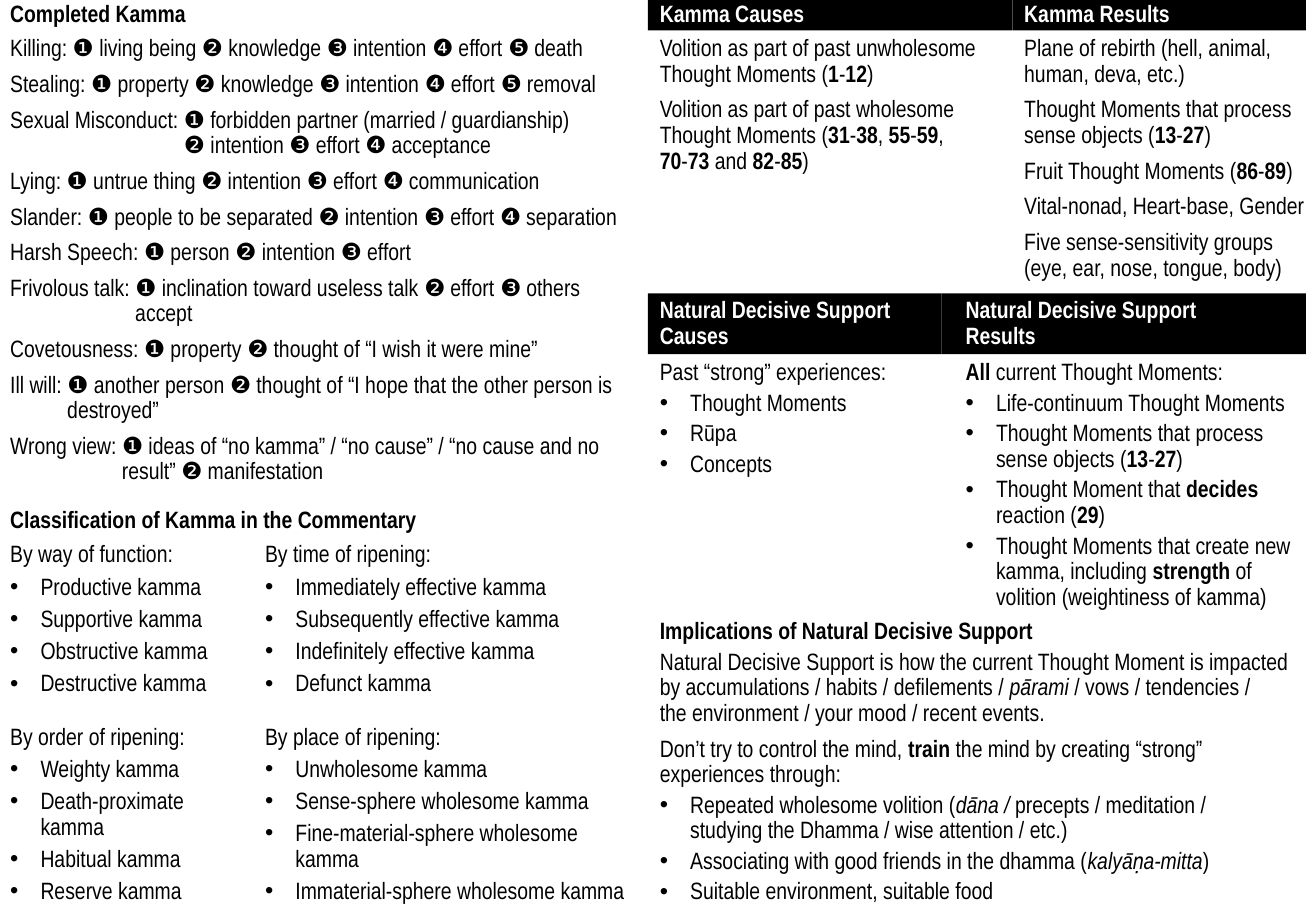
from lxml import etree
from pptx import Presentation, util as u
from pptx.dml import color
from pptx.enum import shapes, text
from pptx.oxml import ns

COLUMNS, ROWS = 130, 90
CELL = u.Inches(1 / 12)
BLACK, WHITE = "000000", "FFFFFF"
FLUSH = {"margin_left": 0}
OPEN_RIGHT = {"margin_right": 0}
RESULTS = {"margin_left": u.Inches(0.2), "margin_right": 0}
MIDDLE = {"vertical_anchor": text.MSO_ANCHOR.MIDDLE}
BOTTOM = {"vertical_anchor": text.MSO_ANCHOR.BOTTOM, "margin_top": 0}


def rgb(value):
    return color.RGBColor.from_string(value)


def apply(target, values):
    for name, value in values.items():
        setattr(target, name, value)


class Page:
    """Draws on one slide in 1/12 inch cells; *bold*, _italic_ and a leading bullet mark up the text."""

    font = {"name": "Arial Narrow", "size": u.Pt(14)}
    frame = {"word_wrap": True, "vertical_anchor": text.MSO_ANCHOR.TOP,
             "margin_left": u.Inches(0.1), "margin_right": u.Inches(0.1),
             "margin_top": u.Inches(0.05), "margin_bottom": u.Inches(0.05)}

    def __init__(self, deck):
        apply(deck, {"slide_width": COLUMNS * CELL, "slide_height": ROWS * CELL})
        self.slide = deck.slides.add_slide(deck.slide_layouts[6])

    def box(self, cells):
        return [round(cell * CELL) for cell in cells]

    def passage(self, cells, paragraphs, after, **frame):
        holder = self.slide.shapes.add_textbox(*self.box(cells))
        self.compose(holder, paragraphs, after, BLACK, frame)

    def heading(self, cells, title):
        self.passage(cells, [f"*{title}*"], 5, **FLUSH, **MIDDLE)

    def band(self, cells, title, **frame):
        bar = self.slide.shapes.add_shape(shapes.MSO_SHAPE.RECTANGLE, *self.box(cells))
        bar.shadow.inherit = False
        bar.fill.solid()
        bar.fill.fore_color.rgb = rgb(BLACK)
        bar.line.fill.background()
        self.compose(bar, [f"*{title}*"], 5, WHITE, {**MIDDLE, **frame})

    def compose(self, holder, paragraphs, after, ink, frame):
        body = holder.text_frame
        apply(body, {**self.frame, **frame})
        for index, entry in enumerate(paragraphs):
            words, own = entry if isinstance(entry, tuple) else (entry, {})
            paragraph = body.paragraphs[0] if index == 0 else body.add_paragraph()
            apply(paragraph, {"alignment": text.PP_ALIGN.LEFT, "line_spacing": 0.9,
                              "space_after": u.Pt(own.get("after", after))})
            bulleted = words.startswith("•")
            self.hang(paragraph, 0.25 if bulleted else own.get("hang", 0), bulleted)
            self.runs(paragraph, words.removeprefix("•"), ink)

    def hang(self, paragraph, inches, bulleted):
        properties = paragraph._p.get_or_add_pPr()
        properties.set("marL", str(u.Inches(inches)))
        properties.set("indent", str(-u.Inches(inches)))
        if bulleted:
            etree.SubElement(properties, ns.qn("a:buFont")).set("typeface", "Arial")
            etree.SubElement(properties, ns.qn("a:buChar")).set("char", "•")

    def runs(self, paragraph, words, ink):
        for strong, part in enumerate(words.split("*")):
            for slanted, piece in enumerate(part.split("_")):
                for line, chunk in enumerate(piece.split("\n")):
                    if line:
                        paragraph.add_line_break()
                    if chunk:
                        run = paragraph.add_run()
                        run.text = chunk
                        apply(run.font, {**self.font, "bold": strong % 2 == 1,
                                         "italic": slanted % 2 == 1})
                        run.font.color.rgb = rgb(ink)


COMPLETED = [
    "Killing: ❶ living being ❷ knowledge ❸ intention ❹ effort ❺ death",
    "Stealing: ❶ property ❷ knowledge ❸ intention ❹ effort ❺ removal",
    ("Sexual Misconduct: ❶ forbidden partner (married / guardianship) \n"
     "❷ intention ❸ effort ❹ acceptance", {"hang": 1.43}),
    "Lying: ❶ untrue thing ❷ intention ❸ effort ❹ communication",
    "Slander: ❶ people to be separated ❷ intention ❸ effort ❹ separation",
    "Harsh Speech: ❶ person ❷ intention ❸ effort",
    ("Frivolous talk: ❶ inclination toward useless talk ❷ effort ❸ others accept",
     {"hang": 1.03}),
    "Covetousness: ❶ property ❷ thought of “I wish it were mine”",
    ("Ill will: ❶ another person ❷ thought of “I hope that the other person is destroyed”",
     {"hang": 0.47}),
    ("Wrong view: ❶ ideas of “no kamma” / “no cause” / “no cause and no result” "
     "❷ manifestation", {"hang": 0.92}),
]
CLASSIFICATION = [
    [["By way of function:", "•Productive kamma", "•Supportive kamma",
      "•Obstructive kamma", "•Destructive kamma"],
     ["By time of ripening:", "•Immediately effective kamma", "•Subsequently effective kamma",
      "•Indefinitely effective kamma", "•Defunct kamma"]],
    [["By order of ripening:", "•Weighty kamma", "•Death-proximate \nkamma",
      "•Habitual kamma", "•Reserve kamma"],
     ["By place of ripening:", "•Unwholesome kamma", "•Sense-sphere wholesome kamma",
      "•Fine-material-sphere wholesome kamma", "•Immaterial-sphere wholesome kamma"]],
]
KAMMA_CAUSES = [
    "Volition as part of past unwholesome Thought Moments (*1*-*12*)",
    "Volition as part of past wholesome Thought Moments (*31*-*38*, *55*-*59*, \n"
    "*70*-*73 *and *82*-*85*)",
]
KAMMA_RESULTS = [
    "Plane of rebirth (hell, animal, human, deva, etc.)",
    "Thought Moments that process sense objects (*13*-*27*)",
    "Fruit Thought Moments (*86*-*89*)",
    "Vital-nonad, Heart-base, Gender",
    "Five sense-sensitivity groups (eye, ear, nose, tongue, body)",
]
SUPPORT_CAUSES = ["Past “strong” experiences:", "•Thought Moments", "•Rūpa", "•Concepts"]
SUPPORT_RESULTS = [
    "*All* current Thought Moments:",
    "•Life-continuum Thought Moments",
    "•Thought Moments that process sense objects (*13*-*27*)",
    "•Thought Moment that *decides* reaction (*29*)",
    "•Thought Moments that create new kamma, including *strength* of\n"
    "volition (weightiness of kamma)",
]
IMPLICATIONS = [
    "*Implications of Natural Decisive Support*",
    ("Natural Decisive Support is how the current Thought Moment is impacted by accumulations "
     "/ habits / defilements / _pārami _/ vows / tendencies / \n"
     "the environment / your mood / recent events.", {"after": 6}),
    "Don’t try to control the mind, *train* the mind by creating “strong” experiences through:",
    "•Repeated wholesome volition (_dāna /_ precepts / meditation / \n"
    "studying the Dhamma / wise attention / etc.)",
    "•Associating with good friends in the dhamma (_kalyāṇa-mitta_)",
    "•Suitable environment, suitable food",
]

deck = Presentation()
page = Page(deck)

page.heading((1, 0, 63.5, 3), "Completed Kamma")
page.passage((1, 3, 63.5, 40), COMPLETED, 6, **FLUSH)
page.heading((1, 50, 63.5, 3), "Classification of Kamma in the Commentary")
for tier, (left_group, right_group) in enumerate(CLASSIFICATION):
    top = 53 + 18 * tier
    page.passage((1, top, 27, 18), left_group, 4, **FLUSH)
    page.passage((25, top, 39.5, 18), right_group, 4)

page.band((64, 0, 36, 3), "Kamma Causes")
page.band((100, 0, 29, 3), "Kamma Results", **OPEN_RIGHT)
page.passage((64, 3, 35.5, 18), KAMMA_CAUSES, 6)
page.passage((100, 3, 30, 18), KAMMA_RESULTS, 6, **OPEN_RIGHT)

page.band((64, 29, 29, 6), "Natural Decisive Support Causes")
page.band((93, 29, 36, 6), "Natural Decisive Support \nResults", **RESULTS)
page.passage((64, 35, 27.5, 18), SUPPORT_CAUSES, 3)
page.passage((93, 35, 36, 18), SUPPORT_RESULTS, 3, **RESULTS)
page.passage((64, 69, 65, 21), IMPLICATIONS, 3, **BOTTOM)

deck.save("out.pptx")
